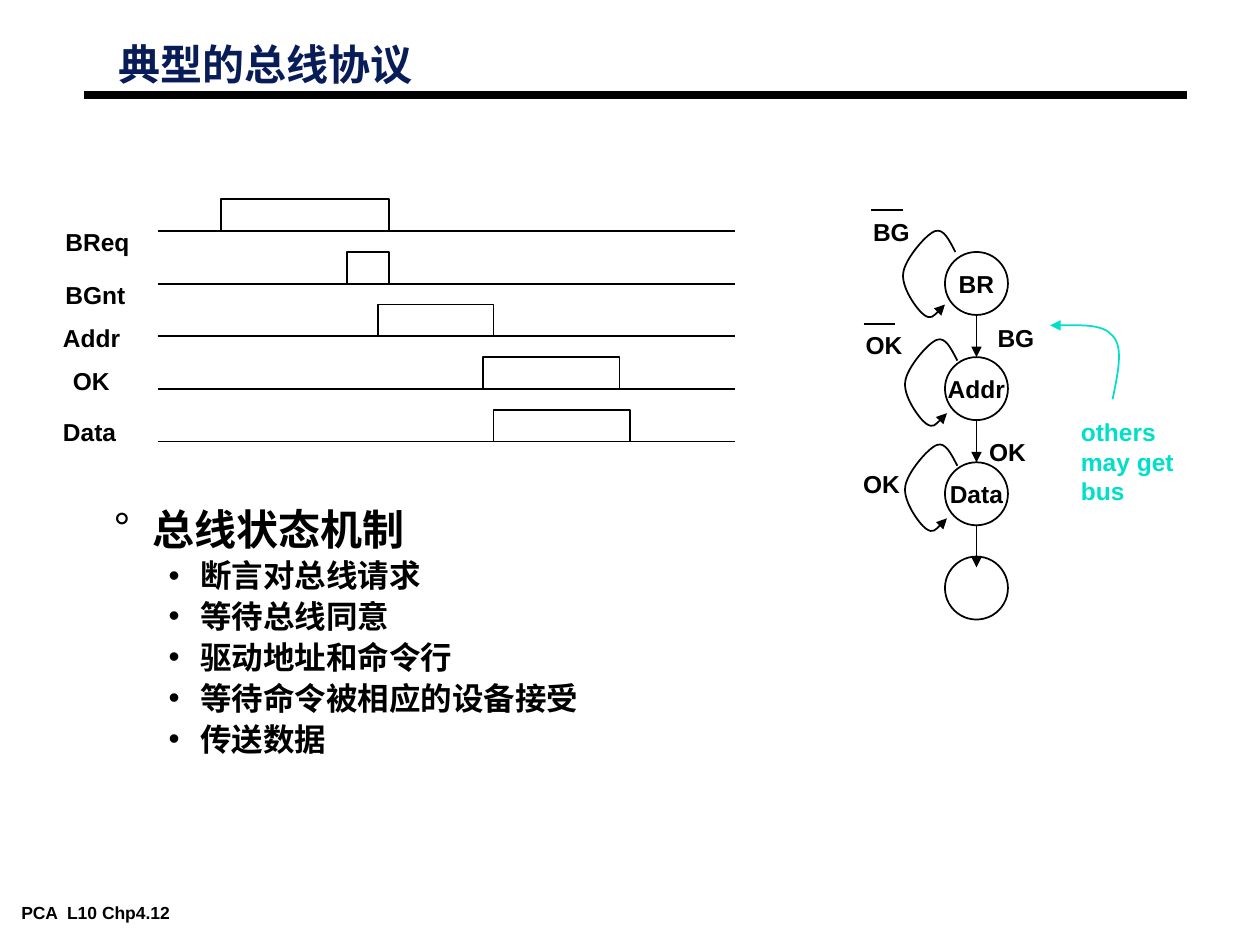
from lxml.etree import SubElement
from pptx import Presentation
from pptx.dml.color import RGBColor
from pptx.enum.shapes import MSO_CONNECTOR as Connector, MSO_SHAPE as Shape
from pptx.enum.text import MSO_ANCHOR as Anchor, MSO_AUTO_SIZE as AutoSize, PP_ALIGN as Align
from pptx.oxml.ns import qn
from pptx.util import Cm, Pt

BLACK = RGBColor(0x00, 0x00, 0x00)
WHITE = RGBColor(0xFF, 0xFF, 0xFF)
NAVY = RGBColor(0x08, 0x1D, 0x58)
TEAL = RGBColor(0x00, 0xDF, 0xCA)
FONT = "Arial"

# All positions and sizes are in centimetres.
TITLE = "典型的总线协议"
FOOTER = "PCA  L10 Chp4.12"
HEADING = "总线状态机制"
STEPS = ["断言对总线请求", "等待总线同意", "驱动地址和命令行",
         "等待命令被相应的设备接受", "传送数据"]

# label, label left, label top, pulse left, pulse width
SIGNALS = [
    ("BReq", 1.07, 4.45, 4.45, 3.39),
    ("BGnt", 1.07, 5.51, 6.99, 0.85),
    ("Addr", 1.02, 6.38, 7.62, 2.33),
    ("OK", 1.22, 7.24, 9.74, 2.75),
    ("Data", 1.02, 8.28, 9.95, 2.75),
]
SIGNAL_LABEL_WIDTH = 2.1
WAVE_LEFT, WAVE_RIGHT, WAVE_TOP, WAVE_STEP = 3.18, 14.82, 4.66, 1.06
PULSE_HEIGHT = 0.64

# name, top, offset of its waiting loop (None for the unnamed end state)
STATES = [("BR", 5.08, (0, 0)), ("Addr", 7.2, (0.04, 0.07)),
          ("Data", 9.32, (0.04, 0.07)), ("", 11.22, None)]
STATE_LEFT, STATE_SIZE, ARROW_LENGTH = 19.05, 1.27, 0.85

# label, left, top, negated
CONDITIONS = [
    ("BG", 19.86, 6.38, False),
    ("BG", 17.35, 4.24, True),
    ("OK", 19.69, 8.69, False),
    ("OK", 17.2, 6.53, True),
    ("OK", 17.15, 9.32, False),
]
CONDITION_WIDTH = 1.5
BAR_INDENT, BAR_LENGTH = 0.21, 0.64

# Bezier points: a start, then three per curve; the loop is relative to its state
LOOP = [(0.21, 0), (0.08, -0.25), (-0.03, -0.48), (-0.2, -0.42),
        (-0.38, -0.36), (-0.81, 0.15), (-0.84, 0.42),
        (-0.89, 0.71), (-0.56, 1.17), (-0.42, 1.27),
        (-0.28, 1.37), (-0.15, 1.22), (0, 1.06)]
NOTE_CURVE = [(22.43, 8.05), (22.53, 7.54), (22.66, 7.01), (22.43, 6.77),
              (22.23, 6.53), (21.69, 6.56), (21.17, 6.56)]
NOTE = ["others", "may get", "bus"]


def write(frame, lines, size=14, color=BLACK, align=Align.LEFT, anchor=Anchor.TOP,
          wrap=True, fit=AutoSize.NONE, inset=(0.25, 0.13)):
    """Fill a text frame with one paragraph per line and return the paragraphs."""
    frame.word_wrap, frame.auto_size, frame.vertical_anchor = wrap, fit, anchor
    frame.margin_left = frame.margin_right = Cm(inset[0])
    frame.margin_top = frame.margin_bottom = Cm(inset[1])
    for number, line in enumerate(lines):
        para = frame.paragraphs[0] if number == 0 else frame.add_paragraph()
        para.alignment = align
        span = para.add_run()
        span.text = line
        span.font.name, span.font.size, span.font.bold = FONT, Pt(size), True
        span.font.color.rgb = color
    return frame.paragraphs


def place(shape, left, top, width, height):
    shape.left, shape.top, shape.width, shape.height = map(Cm, (left, top, width, height))


def add_label(slide, lines, left, top, width, height=0.86, **style):
    box = slide.shapes.add_textbox(Cm(left), Cm(top), Cm(width), Cm(height))
    write(box.text_frame, lines, fit=AutoSize.SHAPE_TO_FIT_TEXT, **style)


def add_outlined(slide, kind, left, top, width, height):
    shape = slide.shapes.add_shape(kind, Cm(left), Cm(top), Cm(width), Cm(height))
    shape.shadow.inherit = False
    shape.fill.solid()
    shape.fill.fore_color.rgb = WHITE
    stroke(shape)
    return shape


def stroke(shape, color=BLACK, weight=1, arrow=False):
    shape.line.color.rgb = color
    shape.line.width = Pt(weight)
    if arrow:
        outline = shape._element.spPr.find(qn("a:ln"))
        SubElement(outline, qn("a:tailEnd"), type="triangle")


def add_line(slide, start, end, **style):
    line = slide.shapes.add_connector(Connector.STRAIGHT, *map(Cm, start + end))
    stroke(line, **style)
    SubElement(line._element.spPr, qn("a:effectLst"))


def add_curve(slide, points, color=BLACK):
    """Draw an open Bezier curve that ends in an arrowhead."""
    start, *rest = [(Cm(x), Cm(y)) for x, y in points]
    builder = slide.shapes.build_freeform(*start)
    builder.add_line_segments(rest, close=False)
    curve = builder.convert_to_shape()
    segments = list(curve._element.iter(qn("a:lnTo")))
    for first in range(0, len(segments), 3):
        bezier = SubElement(segments[first].getparent(), qn("a:cubicBezTo"))
        for segment in segments[first:first + 3]:
            bezier.append(segment[0])
            segment.getparent().remove(segment)
    curve.shadow.inherit = False
    curve.fill.background()
    stroke(curve, color, arrow=True)


def set_bullet(para, mark, indent, hanging, spacing):
    para.line_spacing, para.space_before = spacing, Pt(5)
    properties = para._p.get_or_add_pPr()
    properties.set("marL", str(Cm(indent)))
    properties.set("indent", str(-Cm(hanging)))
    color = SubElement(properties, qn("a:buClr"))
    SubElement(color, qn("a:srgbClr"), val=str(BLACK))
    SubElement(properties, qn("a:buFont"), typeface=FONT)
    SubElement(properties, qn("a:buChar"), char=mark)


def add_texts(slide):
    tight = (0.18, 0.08)
    add_label(slide, [FOOTER], 0.25, 18.11, 5, 0.56, size=10, inset=tight)
    add_line(slide, (1.7, 1.91), (23.93, 1.91), weight=4.5)

    title = slide.shapes.title
    place(title, 2.21, 0.84, 6.8, 1.02)
    write(title.text_frame, [TITLE], size=24, color=NAVY, inset=tight)[0].line_spacing = 0.87

    body = slide.placeholders[1]
    place(body, 2.11, 10.31, 21.79, 6.65)
    heading, *steps = write(body.text_frame, [HEADING] + STEPS, size=18, inset=tight)
    heading.runs[0].font.size = Pt(24)
    set_bullet(heading, "°", 0.79, 0.79, 0.75)
    for step in steps:
        step.level = 1
        set_bullet(step, "•", 1.75, 0.64, 0.85)


def add_timing(slide):
    for row, (name, left, top, pulse_left, pulse_width) in enumerate(SIGNALS):
        base = WAVE_TOP + row * WAVE_STEP
        add_line(slide, (WAVE_LEFT, base), (WAVE_RIGHT, base))
        add_label(slide, [name], left, top, SIGNAL_LABEL_WIDTH)
        add_outlined(slide, Shape.RECTANGLE, pulse_left, base - PULSE_HEIGHT,
                     pulse_width, PULSE_HEIGHT)


def add_state_machine(slide):
    for name, top, _ in STATES:
        circle = add_outlined(slide, Shape.OVAL, STATE_LEFT, top, STATE_SIZE, STATE_SIZE)
        if name:
            write(circle.text_frame, [name], align=Align.CENTER, anchor=Anchor.MIDDLE,
                  wrap=False)
    middle = STATE_LEFT + STATE_SIZE / 2
    for _, top, (shift_x, shift_y) in STATES[:-1]:
        bottom = top + STATE_SIZE
        add_line(slide, (middle, bottom), (middle, bottom + ARROW_LENGTH), arrow=True)
        add_curve(slide, [(STATE_LEFT + shift_x + x, top + shift_y + y) for x, y in LOOP])
    for name, left, top, negated in CONDITIONS:
        add_label(slide, [name], left, top, CONDITION_WIDTH)
        if negated:
            bar = left + BAR_INDENT
            add_line(slide, (bar, top), (bar + BAR_LENGTH, top))
    add_curve(slide, NOTE_CURVE, TEAL)
    add_label(slide, NOTE, 21.54, 8.28, 2.8, 2.03, color=TEAL)


def main():
    deck = Presentation()
    deck.slide_width, deck.slide_height = Cm(25.4), Cm(19.05)
    slide = deck.slides.add_slide(deck.slide_layouts[1])
    add_texts(slide)
    add_timing(slide)
    add_state_machine(slide)
    deck.save("out.pptx")


if __name__ == "__main__":
    main()
